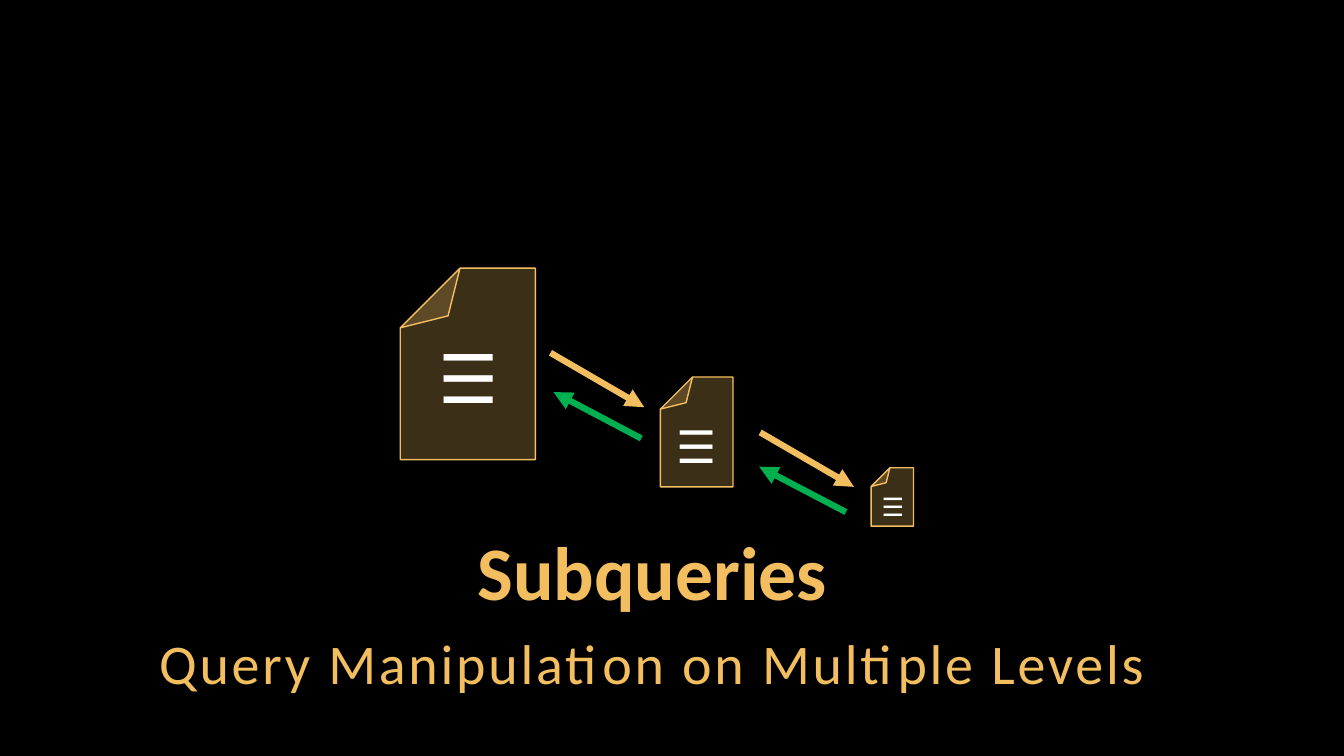
from lxml import etree
from pptx import Presentation
from pptx import util as u
from pptx.dml.color import RGBColor
from pptx.enum import shapes, text
from pptx.oxml import ns

GOLD, GREEN, WHITE, BLACK = "F3BE60", "00B050", "FFFFFF", "000000"


def color(hex_value):
    return RGBColor.from_string(hex_value)


def write(shape, content, size, font="Calibri", fill=GOLD, bold=False, spacing=None,
          line_spacing=None, after=None, inset=None, anchor=text.MSO_ANCHOR.TOP):
    frame = shape.text_frame
    frame.word_wrap = True
    frame.auto_size = text.MSO_AUTO_SIZE.SHAPE_TO_FIT_TEXT
    frame.vertical_anchor = anchor
    if inset is not None:
        frame.margin_left = frame.margin_right = u.Inches(inset)
        frame.margin_top = frame.margin_bottom = u.Inches(inset)
    paragraph = frame.paragraphs[0]
    paragraph.alignment = text.PP_ALIGN.CENTER
    paragraph.line_spacing = line_spacing
    if after is not None:
        paragraph.space_after = u.Pt(after)
    run = paragraph.add_run()
    run.text = content
    run.font.name, run.font.size, run.font.bold = font, u.Pt(size), bold
    run.font.color.rgb = color(fill)
    if spacing:
        run._r.get_or_add_rPr().set("spc", str(spacing * 100))


class SlideBuilder:
    def __init__(self, presentation):
        self.slide = presentation.slides.add_slide(presentation.slide_layouts[5])
        background = self.slide.background.fill
        background.solid()
        background.fore_color.rgb = color(BLACK)

    def title(self, box, content, **style):
        shape = self.slide.shapes.title
        shape.left, shape.top, shape.width, shape.height = map(u.Inches, box)
        write(shape, content, **style)

    def label(self, box, content, **style):
        write(self.slide.shapes.add_textbox(*map(u.Inches, box)), content, **style)

    def page(self, box):
        shape = self.slide.shapes.add_shape(
            shapes.MSO_SHAPE.FOLDED_CORNER, *map(u.Inches, box))
        shape.rotation = 180
        # The library lists no adjustment for this preset, so the fold size is set in XML
        guides = next(shape._element.iter(ns.qn("a:avLst")))
        etree.SubElement(guides, ns.qn("a:gd"), name="adj", fmla="val 44200")
        shape.shadow.inherit = False
        shape.fill.solid()
        shape.fill.fore_color.rgb = color(GOLD)
        fill_color = shape._element.spPr.find(ns.qn("a:solidFill"))[0]
        etree.SubElement(fill_color, ns.qn("a:alpha"), val="25000")
        shape.line.color.rgb = color(GOLD)
        shape.line.width = u.Pt(1)

    def document(self, page_box, icon_box, size):
        self.page(page_box)
        self.label(icon_box, "☰", size=size, font="Noto Sans Mono", fill=WHITE, bold=True)

    def arrow(self, start, end, fill):
        connector = self.slide.shapes.add_connector(
            shapes.MSO_CONNECTOR.STRAIGHT, *map(u.Inches, start + end))
        connector.line.color.rgb = color(fill)
        connector.line.width = u.Pt(4.5)
        properties = connector._element.spPr
        etree.SubElement(properties.find(ns.qn("a:ln")), ns.qn("a:tailEnd"), type="triangle")
        etree.SubElement(properties, ns.qn("a:effectLst"))


def main():
    presentation = Presentation()
    presentation.slide_width, presentation.slide_height = u.Inches(13.33), u.Inches(7.5)
    builder = SlideBuilder(presentation)

    # Title and subtitle
    builder.title((1.58, 5.26, 9.78, 0.9), "Subqueries", size=54, bold=True,
                  line_spacing=0.9, inset=0.04, anchor=text.MSO_ANCHOR.BOTTOM)
    builder.label((0.61, 6.16, 11.72, 0.79), "Query Manipulation on Multiple Levels",
                  size=40, spacing=2, line_spacing=1.05, after=6, inset=0.04)

    # Nested documents, outermost first
    builder.document((3.97, 2.66, 1.34, 1.9), (3.57, 3.29, 2.15, 0.91), 48)
    builder.document((6.55, 3.74, 0.72, 1.09), (6.33, 4.1, 1.15, 0.56), 32)
    builder.document((8.64, 4.64, 0.42, 0.58), (8.52, 4.83, 0.67, 0.4), 18)

    # Queries go down in gold, results come back in green
    builder.arrow((5.46, 3.5), (6.39, 4.04), GOLD)
    builder.arrow((7.54, 4.29), (8.47, 4.83), GOLD)
    builder.arrow((6.36, 4.35), (5.49, 3.89), GREEN)
    builder.arrow((8.39, 5.08), (7.53, 4.63), GREEN)

    presentation.save("out.pptx")


if __name__ == "__main__":
    main()
